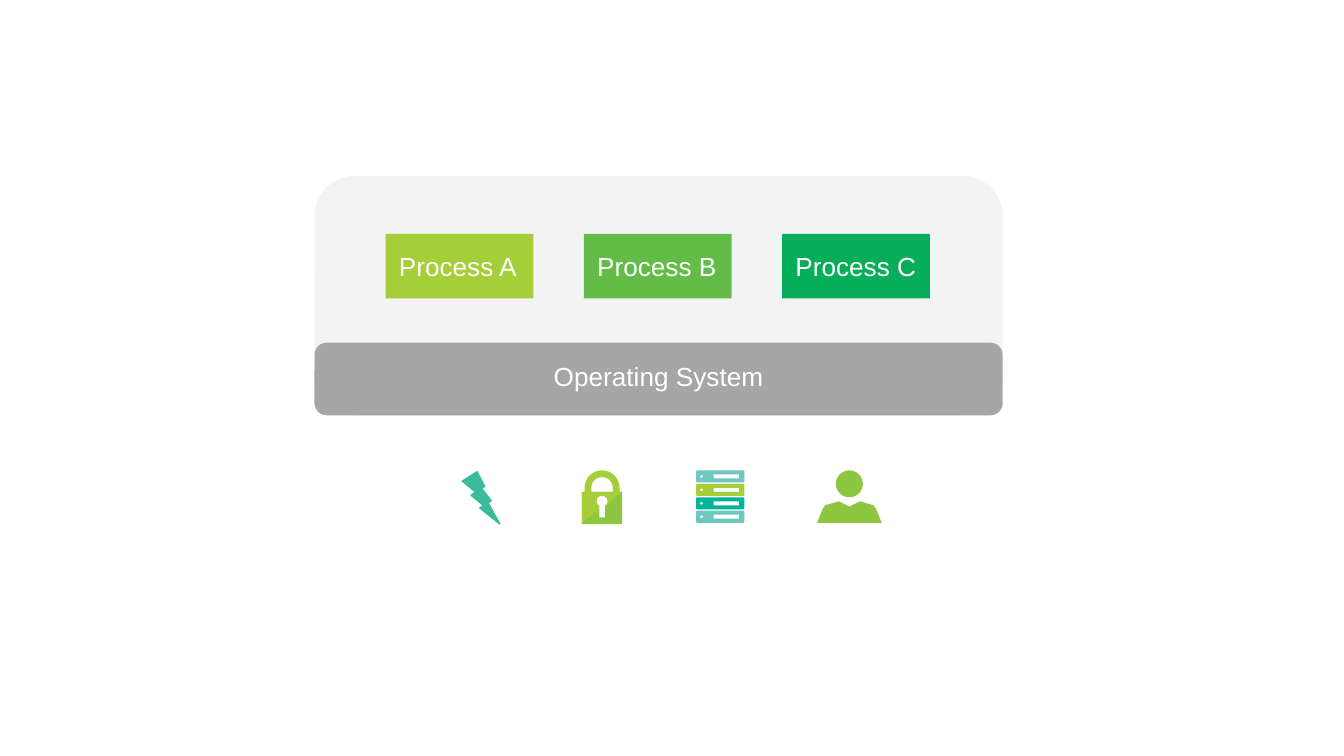
"""Build a slide of processes running above an operating system and its resources."""
import math

import pptx
import pptx.dml.color
import pptx.enum.shapes
import pptx.enum.text
import pptx.util

RGBColor = pptx.dml.color.RGBColor
SHAPE = pptx.enum.shapes.MSO_SHAPE
ALIGN = pptx.enum.text.PP_ALIGN
ANCHOR = pptx.enum.text.MSO_ANCHOR
Inches = pptx.util.Inches

WHITE = RGBColor(0xFF, 0xFF, 0xFF)
PALE_GRAY = RGBColor(0xF3, 0xF3, 0xF3)
GRAY = RGBColor(0xA6, 0xA6, 0xA6)
LIME = RGBColor(0xA5, 0xCE, 0x39)
LEAF = RGBColor(0x8D, 0xC6, 0x40)
GREEN = RGBColor(0x63, 0xBC, 0x47)
EMERALD = RGBColor(0x07, 0xAE, 0x59)
AQUA = RGBColor(0x6D, 0xC8, 0xBF)
TEAL = RGBColor(0x00, 0xB4, 0x9C)
MINT = RGBColor(0x3A, 0xBB, 0x9C)

SLIDE_WIDTH = 10
SLIDE_SIZE = (SLIDE_WIDTH, SLIDE_WIDTH * 9 / 16)
PROCESSES = [("Process A", LIME), ("Process B", GREEN), ("Process C", EMERALD)]
SYSTEM_LABEL = "Operating System"
SERVER_COLORS = [AQUA, LIME, TEAL, AQUA]

PANEL = (2.34, 1.31, 5.12, 1.78)
SYSTEM_BAR = (2.34, 2.55, 5.12, 0.54)
SYSTEM_TEXT = (3.59, 2.58, 2.62, 0.45)
PROCESS_LEFT, PROCESS_RIGHT, PROCESS_TOP = 2.87, 6.92, 1.74
PROCESS_SIZE = (1.1, 0.48)
PROCESS_PITCH = (PROCESS_RIGHT - PROCESS_LEFT - PROCESS_SIZE[0]) / (len(PROCESSES) - 1)
ICON_TOP = 3.5
SERVER_LEFT, SERVER_WIDTH, SERVER_HEIGHT, SERVER_PITCH = 5.18, 0.36, 0.09, 0.1
CORNER = 0.01


def add_shape(shapes, kind, box, color):
    return paint(shapes.add_shape(kind, *map(Inches, box)), color)


def paint(shape, color):
    shape.shadow.inherit = False
    shape.fill.solid()
    shape.fill.fore_color.rgb = color
    shape.line.fill.background()
    return shape


def add_outline(shapes, contours, color):
    contours = [[(Inches(x), Inches(y)) for x, y in contour] for contour in contours]
    builder = shapes.build_freeform(*contours[0][0])
    for index, contour in enumerate(contours):
        if index:
            builder.move_to(*contour[0])
        builder.add_line_segments(contour[1:], close=True)
    return paint(builder.convert_to_shape(), color)


def arc(center, radius, start=0, end=360, steps=36):
    angles = [math.radians(start + (end - start) * step / steps) for step in range(steps + 1)]
    return [(center[0] + radius * math.cos(a), center[1] + radius * math.sin(a)) for a in angles]


def rectangle(left, top, right, bottom):
    return [(left, top), (left, bottom), (right, bottom), (right, top)]


def write_text(shape, text, *, align=ALIGN.LEFT, anchor=ANCHOR.MIDDLE, size=14, color=WHITE):
    frame = shape.text_frame
    frame.word_wrap = True
    frame.vertical_anchor = anchor
    frame.margin_left = frame.margin_right = Inches(0.1)
    frame.margin_top = frame.margin_bottom = Inches(0.1)
    paragraph = frame.paragraphs[0]
    paragraph.text = text
    paragraph.alignment = align
    paragraph.font.name = "Arial"
    paragraph.font.size = pptx.util.Pt(size)
    paragraph.font.color.rgb = color


def add_server(shapes, top, color):
    left, right = SERVER_LEFT, SERVER_LEFT + SERVER_WIDTH
    bottom = top + SERVER_HEIGHT
    corners = [(right, top, -1, 1, -90), (right, bottom, -1, -1, 0),
               (left, bottom, 1, -1, 90), (left, top, 1, 1, 180)]
    body = []
    for x, y, across, down, angle in corners:
        center = (x + across * CORNER, y + down * CORNER)
        body += arc(center, CORNER, angle, angle + 90, 4)
    slot = rectangle(left + 0.13, top + 0.03, left + 0.32, top + 0.06)
    light = arc((left + 0.04, top + SERVER_HEIGHT / 2), 0.01, 360, 0)
    add_outline(shapes, [body, slot, light], color)


def add_lock(shapes):
    left, right, middle, bottom = 4.33, 4.63, ICON_TOP + 0.16, ICON_TOP + 0.39
    center = (4.48, ICON_TOP + 0.13)
    add_shape(shapes, SHAPE.RECTANGLE, (left, middle, right - left, 0.24), LEAF)
    shackle = [(left, middle), (4.35, middle), *arc(center, 0.13, 180, 360),
               (4.61, middle), (right, middle), (left, bottom)]
    opening = [(4.56, middle), *arc(center, 0.08, 360, 180), (4.4, middle)]
    add_outline(shapes, [shackle, opening], LIME)
    keyhole = [*arc((4.48, ICON_TOP + 0.23), 0.04, 120, 420),
               (4.5, ICON_TOP + 0.35), (4.46, ICON_TOP + 0.35)]
    add_outline(shapes, [keyhole], WHITE)


def add_person(shapes):
    center = 6.32
    right_side = [(0, 0.27), (0.08, 0.23), (0.18, 0.26), (0.2, 0.29), (0.24, 0.39)]
    left_side = [(-x, y) for x, y in reversed(right_side[1:])]
    shoulders = [(center + x, ICON_TOP + y) for x, y in right_side + left_side]
    add_outline(shapes, [shoulders, arc((center, ICON_TOP + 0.1), 0.1)], LEAF)


def main():
    presentation = pptx.Presentation()
    presentation.slide_width, presentation.slide_height = map(Inches, SLIDE_SIZE)
    slide = presentation.slides.add_slide(presentation.slide_layouts[6])
    shapes = slide.shapes

    add_shape(shapes, SHAPE.ROUNDED_RECTANGLE, PANEL, PALE_GRAY)
    for column, (label, color) in enumerate(PROCESSES):
        box = (PROCESS_LEFT + column * PROCESS_PITCH, PROCESS_TOP, *PROCESS_SIZE)
        write_text(add_shape(shapes, SHAPE.RECTANGLE, box, color), label)
    add_shape(shapes, SHAPE.ROUNDED_RECTANGLE, SYSTEM_BAR, GRAY)
    system_text = shapes.add_textbox(*map(Inches, SYSTEM_TEXT))
    write_text(system_text, SYSTEM_LABEL, align=ALIGN.CENTER, anchor=ANCHOR.TOP)

    servers = shapes.add_group_shape()
    for row, color in enumerate(SERVER_COLORS):
        add_server(servers.shapes, ICON_TOP + row * SERVER_PITCH, color)
    add_lock(shapes.add_group_shape().shapes)
    add_person(shapes)
    bolt = add_shape(shapes, SHAPE.LIGHTNING_BOLT, (3.44, ICON_TOP + 0.01, 0.28, 0.39), MINT)
    bolt.line.color.rgb = MINT
    bolt.line.width = pptx.util.Pt(0.75)

    presentation.save("out.pptx")


if __name__ == "__main__":
    main()
